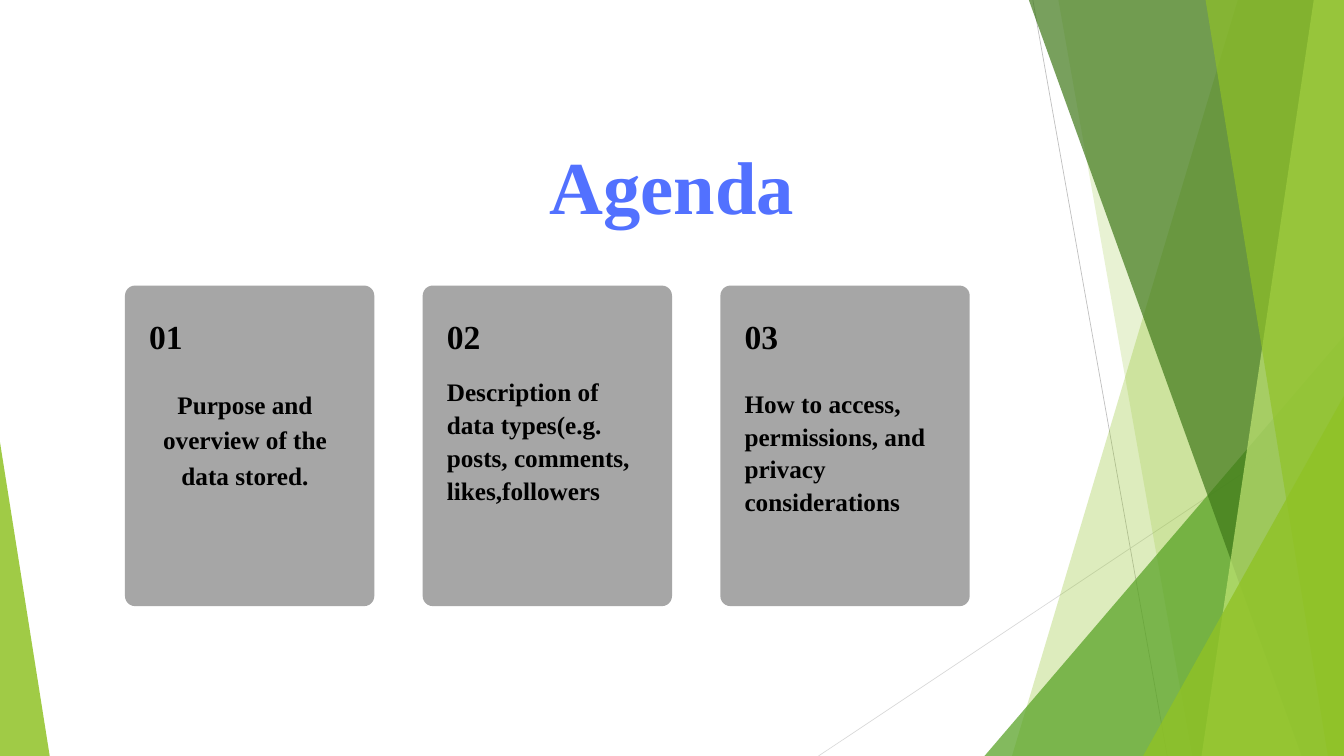
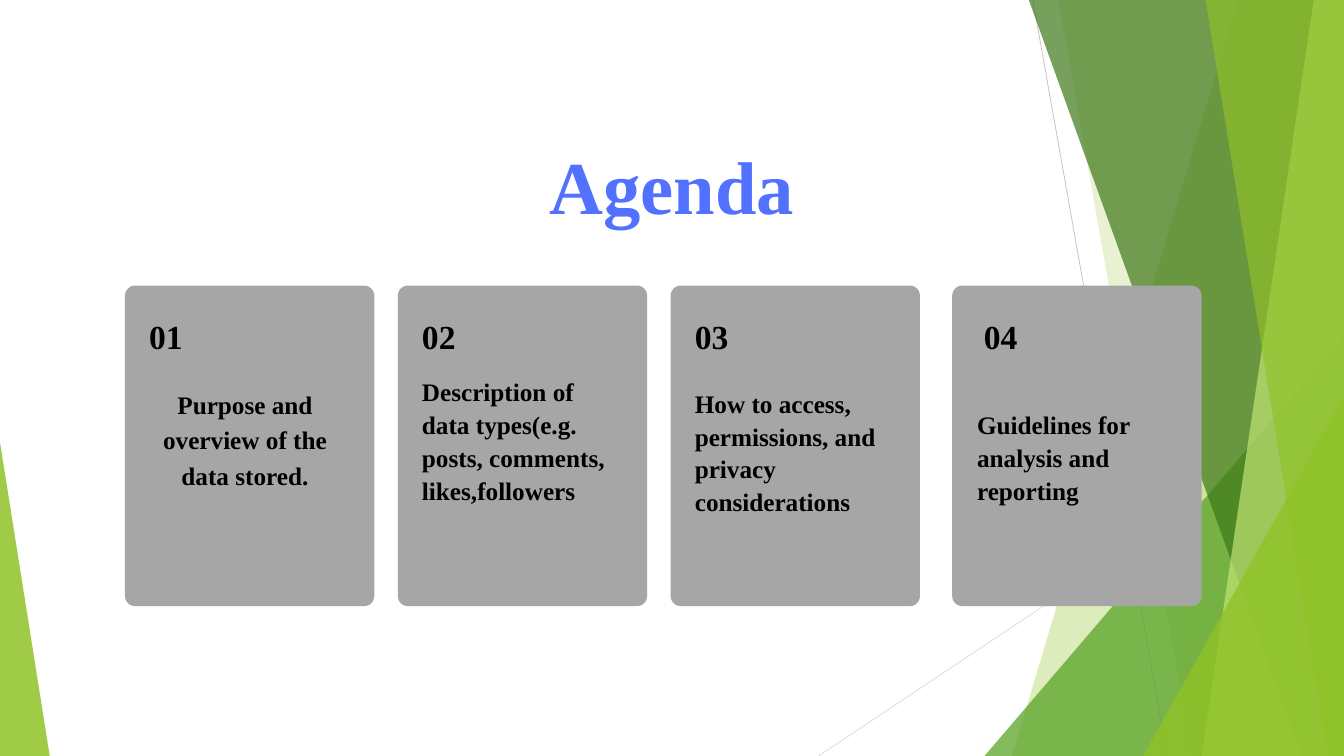
from lxml import etree
from pptx import Presentation
from pptx.dml.color import RGBColor
from pptx.enum.shapes import MSO_CONNECTOR, MSO_SHAPE
from pptx.enum.text import MSO_ANCHOR, MSO_AUTO_SIZE, PP_ALIGN
from pptx.oxml.ns import qn
from pptx.util import Inches, Pt

LEFT, CENTER = PP_ALIGN.LEFT, PP_ALIGN.CENTER
TOP = MSO_ANCHOR.TOP
GROW = MSO_AUTO_SIZE.SHAPE_TO_FIT_TEXT
TRIANGLE, ROUNDED = MSO_SHAPE.ISOSCELES_TRIANGLE, MSO_SHAPE.ROUNDED_RECTANGLE
STRAIGHT = MSO_CONNECTOR.STRAIGHT

FONT = "Times New Roman"
BLACK = RGBColor(0x00, 0x00, 0x00)
TITLE_BLUE = RGBColor(0x52, 0x71, 0xFF)
CARD_GRAY = RGBColor(0xA6, 0xA6, 0xA6)
LINE_GRAY = RGBColor(0xBF, 0xBF, 0xBF)
PALE_GRAY = RGBColor(0xD9, 0xD9, 0xD9)
LIME = RGBColor(0x90, 0xC2, 0x26)
GREEN = RGBColor(0x54, 0xA0, 0x21)
DARK_GREEN = RGBColor(0x3F, 0x78, 0x19)
PALE_LIME = RGBColor(0xC0, 0xE4, 0x74)

SLIDE_W, SLIDE_H = 20, 11.25
CARD_LEFT, CARD_TOP, CARD_W, CARD_H = 1.86, 4.25, 3.71, 4.77
CORNER = 0.15

# Each card: number, paragraphs, and the text's place inside the card.
CARDS = [
    dict(number="01", lines=["Purpose and", "overview of the data stored."],
         body=(0.26, 1.47, 3.05, 1.55), align=CENTER, spacing=37.8),
    dict(number="02",
         lines=["Description of data types(e.g. posts, comments, likes,followers"],
         body=(0.36, 1.32, 2.97, 1.93)),
    dict(number="03",
         lines=["How to access, permissions, and privacy considerations"],
         body=(0.36, 1.49, 2.97, 1.92)),
    dict(number="04", lines=["Guidelines for analysis and reporting"],
         body=(0.37, 1.81, 2.97, 1.44), number_left=0.47),
]


def inches(*lengths):
    return [Inches(length) for length in lengths]


def write(shape, lines, size, spacing, color=BLACK, align=LEFT):
    """Fill a shape's text frame with bold paragraphs and no insets."""
    frame = shape.text_frame
    frame.word_wrap = True
    frame.auto_size = GROW
    frame.vertical_anchor = TOP
    frame.margin_left = frame.margin_right = 0
    frame.margin_top = frame.margin_bottom = 0
    frame.text = "\n".join(lines)
    for paragraph in frame.paragraphs:
        paragraph.alignment = align
        paragraph.line_spacing = Pt(spacing)
        font = paragraph.runs[0].font
        font.name, font.size, font.bold = FONT, Pt(size), True
        font.color.rgb = color


def paint(shape, color, opacity=100):
    """Give a shape a flat, optionally translucent fill without outline."""
    shape.shadow.inherit = False
    shape.line.fill.background()
    shape.fill.solid()
    shape.fill.fore_color.rgb = color
    if opacity < 100:
        tint = shape.element.spPr.find(qn("a:solidFill"))[0]
        etree.SubElement(tint, qn("a:alpha"), val=str(opacity * 1000))
    return shape


def add_hairline(shapes, start, end, color):
    hairline = shapes.add_connector(STRAIGHT, *inches(*start, *end))
    hairline.line.color.rgb = color
    hairline.line.width = Pt(0.75)
    etree.SubElement(hairline.element.spPr, qn("a:effectLst"))
    return hairline


def add_band(shapes, top_left, bottom_left, color, opacity):
    """Draw a full-height band from a slanted left edge to the slide's right."""
    builder = shapes.build_freeform(*inches(top_left, 0))
    corners = [(SLIDE_W, 0), (SLIDE_W, SLIDE_H), (bottom_left, SLIDE_H)]
    builder.add_line_segments([inches(*corner) for corner in corners])
    return paint(builder.convert_to_shape(), color, opacity)


def add_wedge(shapes, left, top, width, apex, color, opacity):
    """Draw a triangle that stands on the slide's bottom edge."""
    wedge = shapes.add_shape(TRIANGLE, *inches(left, top, width, SLIDE_H - top))
    wedge.adjustments[0] = apex
    return paint(wedge, color, opacity)


def add_backdrop(slide):
    """Draw the green facets and move them to the slide's layout."""
    shapes = slide.shapes
    facets = [
        add_hairline(shapes, (15.37, 0), (17.37, SLIDE_H), LINE_GRAY),
        add_hairline(shapes, (SLIDE_W, 6.04), (12.18, SLIDE_H), PALE_GRAY),
        add_band(shapes, 18.42, 15.06, LIME, 30),
        add_band(shapes, 15.75, 17.74, LIME, 20),
        add_wedge(shapes, 14.65, 5, 5.35, 1, GREEN, 72),
        add_band(shapes, 15.31, 19.37, DARK_GREEN, 70),
        add_band(shapes, 19.55, 17.88, PALE_LIME, 70),
        add_band(shapes, 17.94, 19.76, LIME, 65),
        add_wedge(shapes, 17.01, 5.89, 2.99, 1, LIME, 80),
        add_wedge(shapes, 0, 6.58, 0.74, 0, LIME, 85),
    ]
    layout_tree = slide.slide_layout.shapes.element
    for shape_id, facet in enumerate(facets, start=101):
        facet.element.xpath(".//p:cNvPr")[0].set("id", str(shape_id))
        layout_tree.append(facet.element)


def add_title(slide, text):
    title = slide.shapes.title
    title.left, title.top, title.width, title.height = inches(4.06, 2.08, 11.88, 1.33)
    write(title, [text], size=80, spacing=96, color=TITLE_BLUE, align=CENTER)


def add_card(slide, left, top, number, lines, body, align=LEFT, spacing=35.1,
             number_left=0.36):
    shapes = slide.shapes.add_group_shape().shapes
    panel = shapes.add_shape(ROUNDED, *inches(left, top, CARD_W, CARD_H))
    panel.adjustments[0] = CORNER / CARD_W
    paint(panel, CARD_GRAY)
    heading = shapes.add_textbox(*inches(left + number_left, top + 0.26, 0.8, 0.73))
    write(heading, [number], size=36, spacing=56.5)
    x, y, width, height = body
    description = shapes.add_textbox(*inches(left + x, top + y, width, height))
    write(description, lines, size=27, spacing=spacing, align=align)


def add_agenda(slide, lefts):
    add_title(slide, "Agenda")
    for left, card in zip(lefts, CARDS):
        add_card(slide, left, CARD_TOP, **card)


def main():
    deck = Presentation()
    deck.slide_width, deck.slide_height = inches(SLIDE_W, SLIDE_H)
    title_only = deck.slide_layouts[5]
    three_cards = deck.slides.add_slide(title_only)
    add_backdrop(three_cards)
    add_agenda(three_cards, [CARD_LEFT + 4.43 * i for i in range(3)])
    four_cards = deck.slides.add_slide(title_only)
    add_agenda(four_cards, [CARD_LEFT + 4.06 * i for i in range(3)] + [14.17])
    deck.save("out.pptx")


if __name__ == "__main__":
    main()
